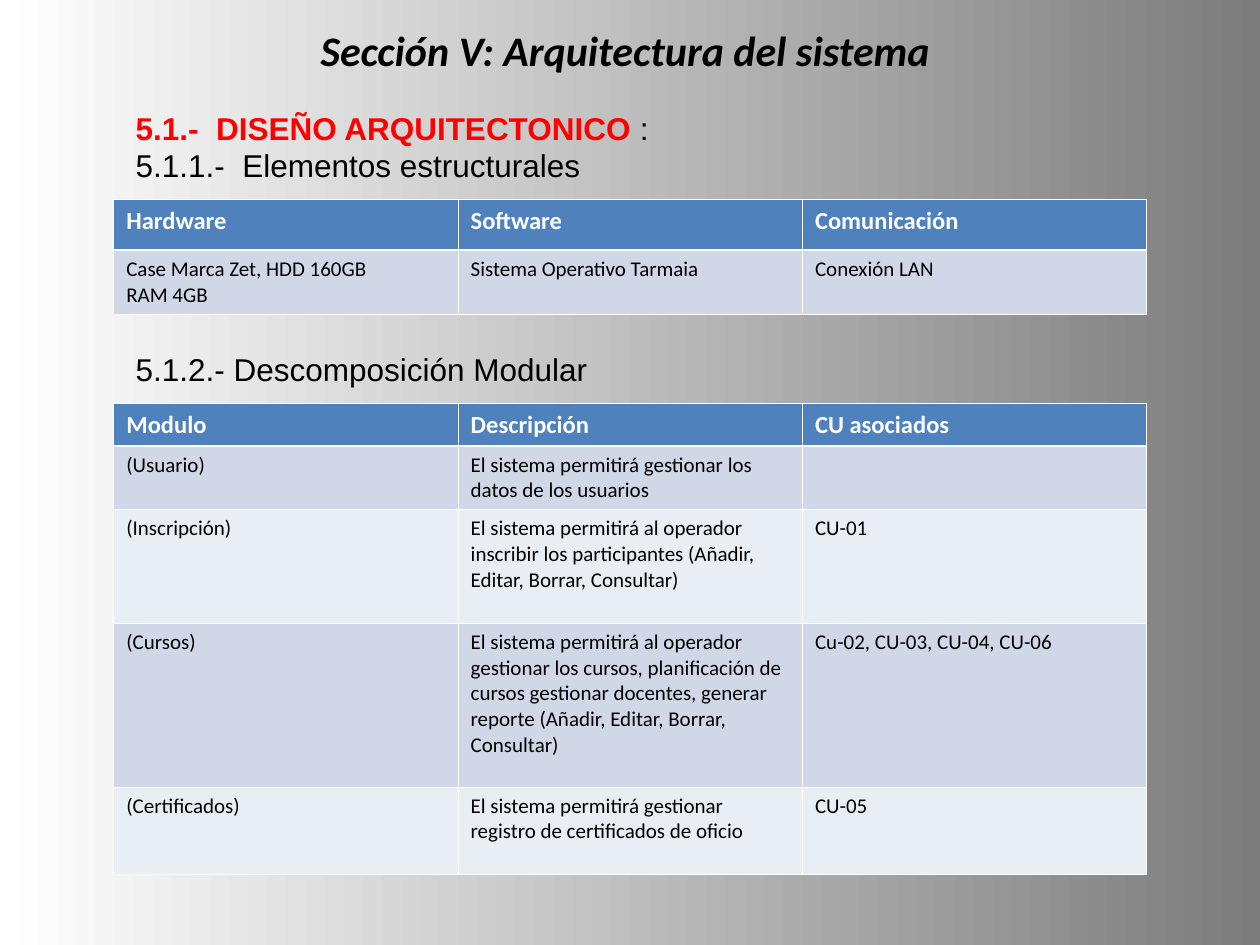
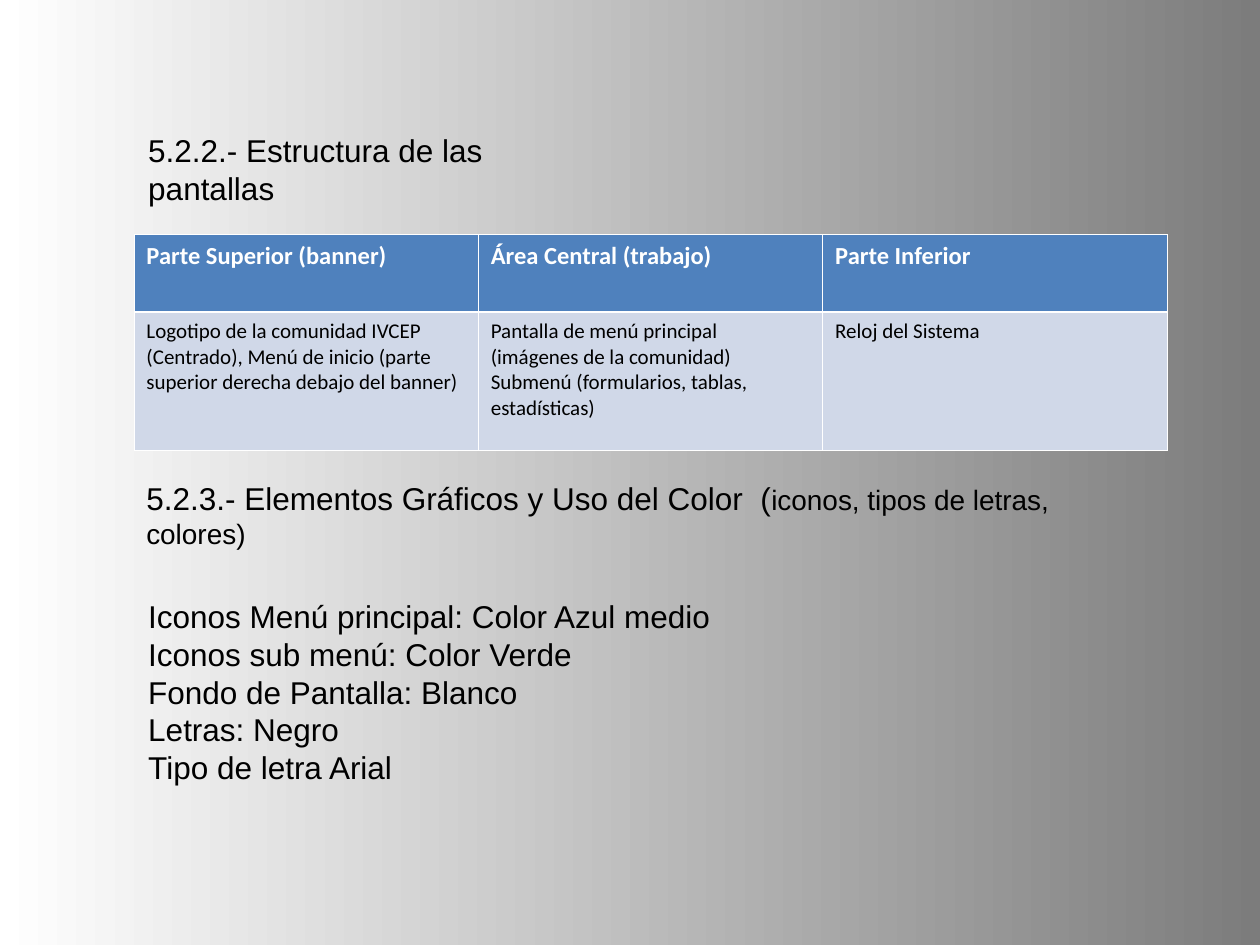
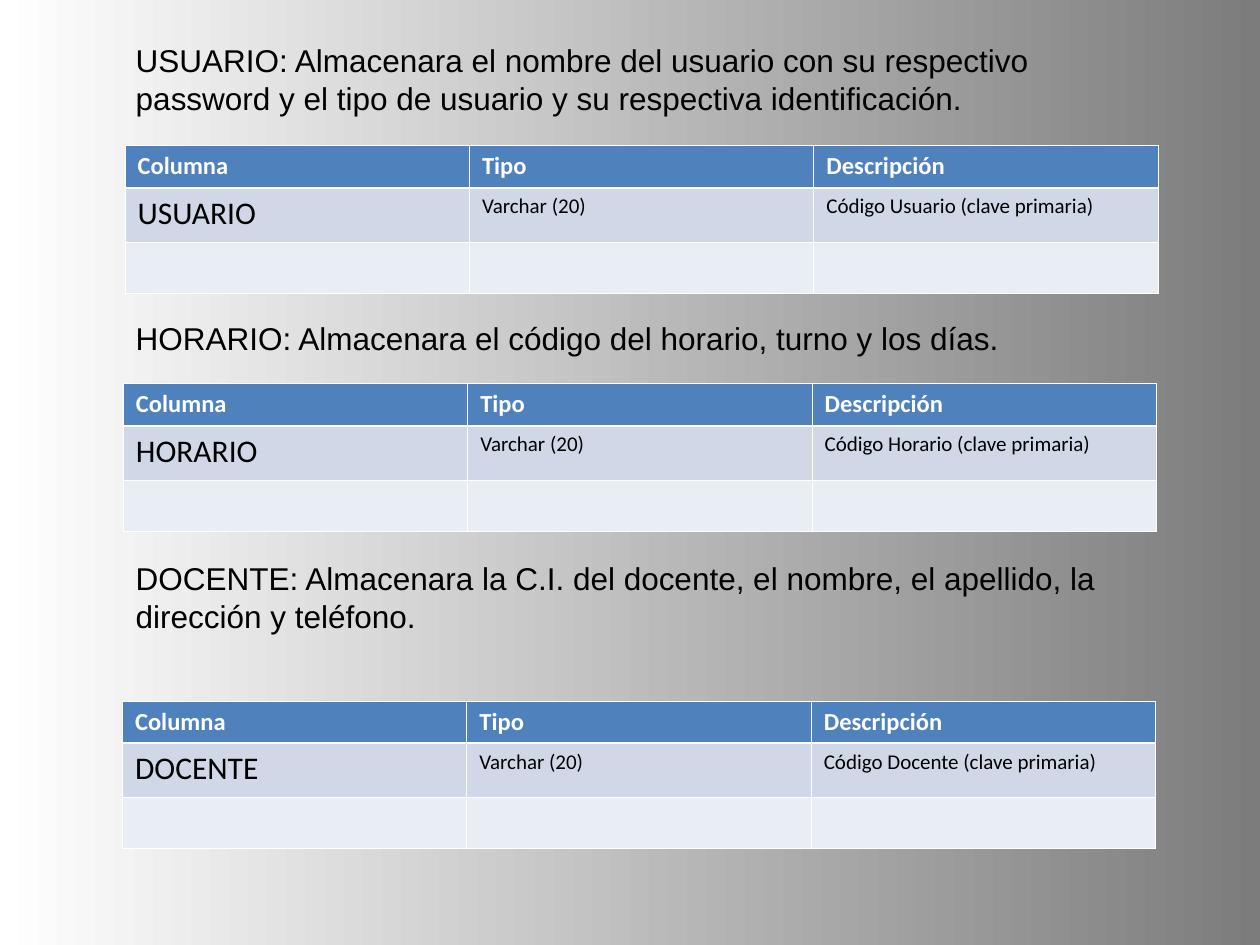
from dataclasses import dataclass

import pptx
import pptx.dml.color
import pptx.enum.text
import pptx.oxml
import pptx.oxml.ns
import pptx.util

Pt = pptx.util.Pt
Anchor = pptx.enum.text.MSO_ANCHOR
Align = pptx.enum.text.PP_ALIGN

# Shared look
COLORS = {
    "text": "000000",
    "accent": "FF0000",
    "header": "4F81BD",
    "header_text": "FFFFFF",
    "band_dark": "D0D8E8",
    "band_light": "E9EDF4",
    "border": "FFFFFF",
    "background_start": "FFFFFF",
    "background_end": "7C7C7C",
}
TABLE_WIDTH = 590.4
THIN_BORDER, THICK_BORDER = 0.45, 1.47
LAYOUT_TITLE_AND_CONTENT, LAYOUT_TITLE_ONLY, LAYOUT_BLANK = 1, 5, 6


@dataclass
class Run:
    text: str
    size: float = 18
    color: str = "text"
    bold: bool = False
    italic: bool = False
    font: str = "Arial"


@dataclass
class Box:
    left: float
    top: float
    width: float
    height: float


@dataclass
class TableSpec:
    left: float
    top: float
    row_heights: tuple[float, ...]
    rows: list[tuple[str, ...]]
    first_column_size: float = 12


@dataclass
class Entity:
    name: str
    purpose: str
    code: str
    text_box: Box
    table_left: float
    table_top: float


def rgb(name: str) -> pptx.dml.color.RGBColor:
    return pptx.dml.color.RGBColor.from_string(COLORS[name])


# Text
def add_run(paragraph, run: Run) -> None:
    text_run = paragraph.add_run()
    text_run.text = run.text
    font = text_run.font
    font.name, font.size = run.font, Pt(run.size)
    font.bold, font.italic = run.bold, run.italic
    font.color.rgb = rgb(run.color)


def fill_text(text_frame, paragraphs: list[list[Run]], align=Align.LEFT) -> None:
    for index, runs in enumerate(paragraphs):
        paragraph = text_frame.add_paragraph() if index else text_frame.paragraphs[0]
        paragraph.alignment = align
        paragraph.space_before = Pt(0)
        for run in runs:
            add_run(paragraph, run)


def place_text(shape, box: Box, paragraphs: list[list[Run]],
               align=Align.LEFT, anchor=Anchor.TOP) -> None:
    shape.left, shape.top = Pt(box.left), Pt(box.top)
    shape.width, shape.height = Pt(box.width), Pt(box.height)
    text_frame = shape.text_frame
    text_frame.word_wrap = True
    text_frame.auto_size = pptx.enum.text.MSO_AUTO_SIZE.NONE
    text_frame.vertical_anchor = anchor
    fill_text(text_frame, paragraphs, align)


def add_text(slide, box: Box, paragraphs: list[list[Run]]) -> None:
    place_text(slide.shapes.add_textbox(0, 0, 0, 0), box, paragraphs)


def remove_bullets(text_frame) -> None:
    for paragraph in text_frame.paragraphs:
        properties = paragraph._p.get_or_add_pPr()
        properties.set("marL", "0")
        properties.set("indent", "0")
        properties.append(pptx.oxml.parse_xml(
            f'<a:buNone {pptx.oxml.ns.nsdecls("a")}/>'))


# Tables
def set_borders(cell, top: float, bottom: float) -> None:
    widths = {"lnL": THIN_BORDER, "lnR": THIN_BORDER, "lnT": top, "lnB": bottom}
    for tag, width in widths.items():
        cell._tc.get_or_add_tcPr().append(pptx.oxml.parse_xml(
            f'<a:{tag} {pptx.oxml.ns.nsdecls("a")} w="{int(Pt(width))}"><a:solidFill>'
            f'<a:srgbClr val="{COLORS["border"]}"/></a:solidFill></a:{tag}>'))


def add_table(slide, spec: TableSpec) -> None:
    column_count = len(spec.rows[0])
    table = slide.shapes.add_table(
        len(spec.rows), column_count, Pt(spec.left), Pt(spec.top),
        Pt(TABLE_WIDTH), Pt(sum(spec.row_heights))).table
    table.horz_banding = False
    for column in table.columns:
        column.width = Pt(TABLE_WIDTH / column_count)
    for row_index, (texts, height) in enumerate(zip(spec.rows, spec.row_heights)):
        table.rows[row_index].height = Pt(height)
        is_header = row_index == 0
        fill = "header" if is_header else "band_dark" if row_index % 2 else "band_light"
        for column_index, text in enumerate(texts):
            cell = table.cell(row_index, column_index)
            set_borders(cell,
                        top=THICK_BORDER if row_index == 1 else THIN_BORDER,
                        bottom=THICK_BORDER if is_header else THIN_BORDER)
            cell.fill.solid()
            cell.fill.fore_color.rgb = rgb(fill)
            if not text:
                continue
            body_size = 12 if column_index else spec.first_column_size
            fill_text(cell.text_frame, [
                [Run(line, 14 if is_header else body_size,
                     "header_text" if is_header else "text",
                     bold=is_header, font="Calibri")]
                for line in text.split("\n")])


# Slides
def set_background(presentation) -> None:
    fill = presentation.slide_master.background.fill
    fill.gradient()
    fill.gradient_angle = 0
    stops = fill.gradient_stops
    for position, name in enumerate(("background_start", "background_end")):
        stops[position].color.rgb = rgb(name)
        stops[position].position = position


def add_slide(presentation, layout: int):
    return presentation.slides.add_slide(presentation.slide_layouts[layout])


def build_architecture(presentation) -> None:
    slide = add_slide(presentation, LAYOUT_TITLE_ONLY)
    place_text(slide.shapes.title, Box(36, -16.5, 648, 90),
               [[Run("Sección V: Arquitectura del sistema ", 24, bold=True,
                     italic=True, font="Calibri")]],
               Align.CENTER, Anchor.MIDDLE)
    add_text(slide, Box(70.5, 58.5, 523.5, 50.5), [
        [Run("5.1.-  DISEÑO ARQUITECTONICO ", color="accent", bold=True), Run(":")],
        [Run("5.1.1.-  Elementos estructurales")]])
    add_table(slide, TableSpec(65, 114, (29, 36), [
        ("Hardware", "Software", "Comunicación"),
        ("Case Marca Zet, HDD 160GB\nRAM 4GB", "Sistema Operativo Tarmaia",
         "Conexión LAN")]))
    add_text(slide, Box(70.5, 196.5, 523.5, 29),
             [[Run("5.1.2.- Descomposición Modular")]])
    add_table(slide, TableSpec(65, 230.5, (24, 36, 65, 93.5, 50), [
        ("Modulo", "Descripción", "CU asociados"),
        ("(Usuario)", "El sistema permitirá gestionar los datos de los usuarios", ""),
        ("(Inscripción)",
         "El sistema permitirá al operador inscribir los participantes "
         "(Añadir, Editar, Borrar, Consultar)", "CU-01"),
        ("(Cursos)",
         "El sistema permitirá al operador gestionar los cursos, planificación "
         "de cursos gestionar docentes, generar reporte "
         "(Añadir, Editar, Borrar, Consultar)", "Cu-02, CU-03, CU-04, CU-06"),
        ("(Certificados)",
         "El sistema permitirá gestionar registro de certificados de oficio",
         "CU-05")]))


def build_screens(presentation) -> None:
    slide = add_slide(presentation, LAYOUT_TITLE_AND_CONTENT)
    place_text(slide.shapes.title, Box(77.5, 71.5, 282, 29),
               [[Run("5.2.2.- Estructura de las pantallas")]])
    add_table(slide, TableSpec(76.5, 134, (44.5, 79), [
        ("Parte Superior (banner)", "Área Central (trabajo)", "Parte Inferior"),
        ("Logotipo de la comunidad IVCEP (Centrado), Menú de inicio "
         "(parte superior derecha debajo del banner)",
         "Pantalla de menú principal (imágenes de la comunidad)\n"
         "Submenú (formularios, tablas, estadísticas)",
         "Reloj del Sistema")]))
    add_text(slide, Box(76.5, 270, 572.5, 48), [
        [Run("5.2.3.- Elementos Gráficos y Uso del Color  ("),
         Run("iconos, tipos de letras, colores)", 16)]])
    color_list = slide.placeholders[1]
    place_text(color_list, Box(77.5, 337.5, 589.5, 137), [
        [Run(line)] for line in (
            "Iconos Menú principal: Color Azul medio",
            "Iconos sub menú: Color Verde",
            "Fondo de Pantalla: Blanco",
            "Letras: Negro",
            "Tipo de letra Arial")])
    remove_bullets(color_list.text_frame)


def build_entities(presentation) -> None:
    slide = add_slide(presentation, LAYOUT_BLANK)
    entities = [
        Entity("USUARIO",
               "Almacenara el nombre del usuario con su respectivo password "
               "y el tipo de usuario y su respectiva identificación.",
               "Usuario", Box(70.5, 20, 589.5, 72), 71.5, 83),
        Entity("HORARIO", "Almacenara el código del horario, turno y los días.",
               "Horario", Box(70.5, 179, 589.5, 50.5), 70.5, 219),
        Entity("DOCENTE",
               "Almacenara la C.I. del docente, el nombre, el apellido, "
               "la dirección y teléfono.",
               "Docente", Box(70.5, 316, 589.5, 93.5), 70, 400.5),
    ]
    for entity in entities:
        add_text(slide, entity.text_box, [[Run(f"{entity.name}: {entity.purpose}")]])
        add_table(slide, TableSpec(entity.table_left, entity.table_top, (24, 31, 29), [
            ("Columna", "Tipo", "Descripción"),
            (entity.name, "Varchar (20)", f"Código {entity.code} (clave primaria)"),
            ("", "", "")], first_column_size=18))


def main() -> None:
    presentation = pptx.Presentation()
    presentation.slide_width, presentation.slide_height = Pt(720), Pt(540)
    set_background(presentation)
    build_architecture(presentation)
    build_screens(presentation)
    build_entities(presentation)
    presentation.save("out.pptx")


if __name__ == "__main__":
    main()
